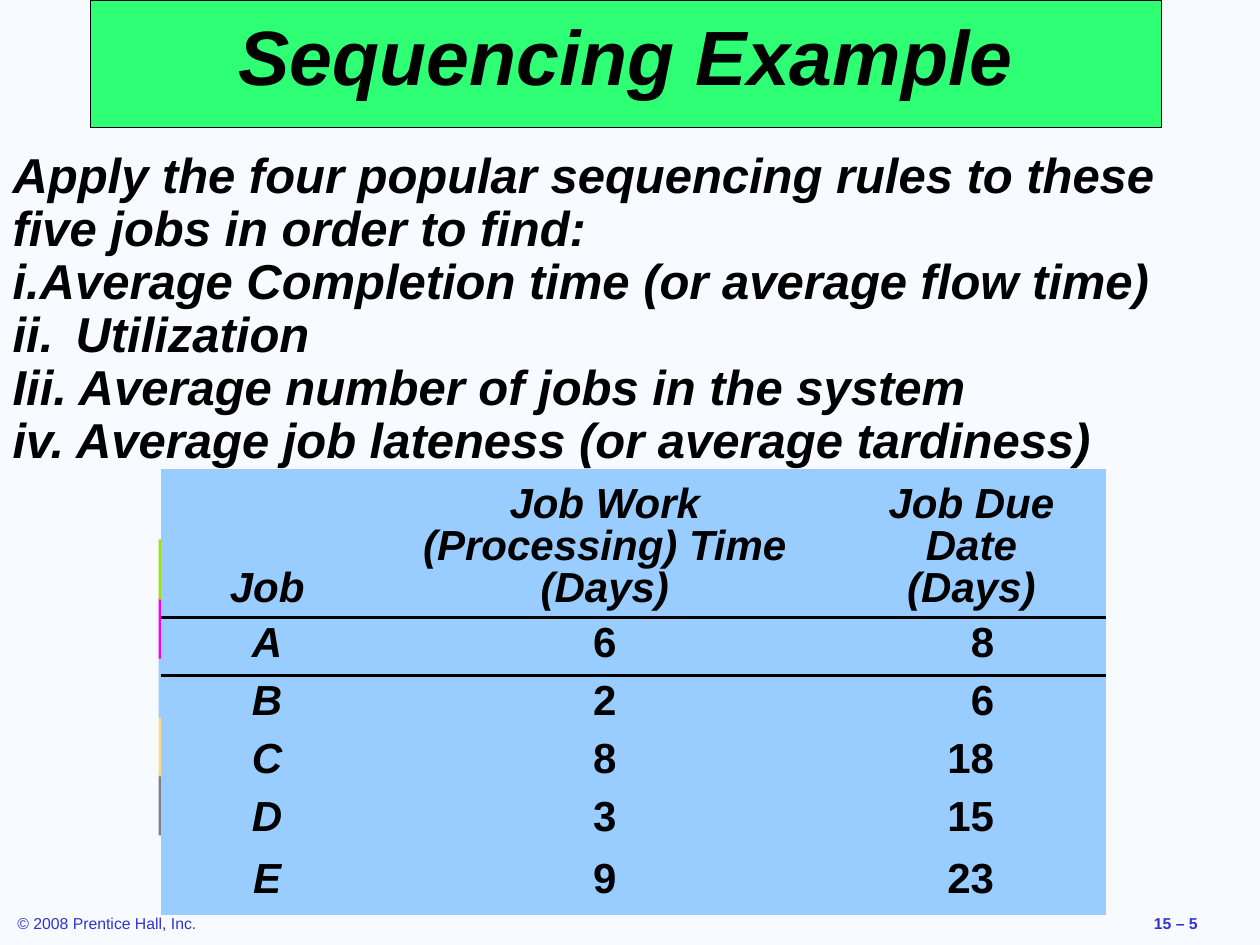
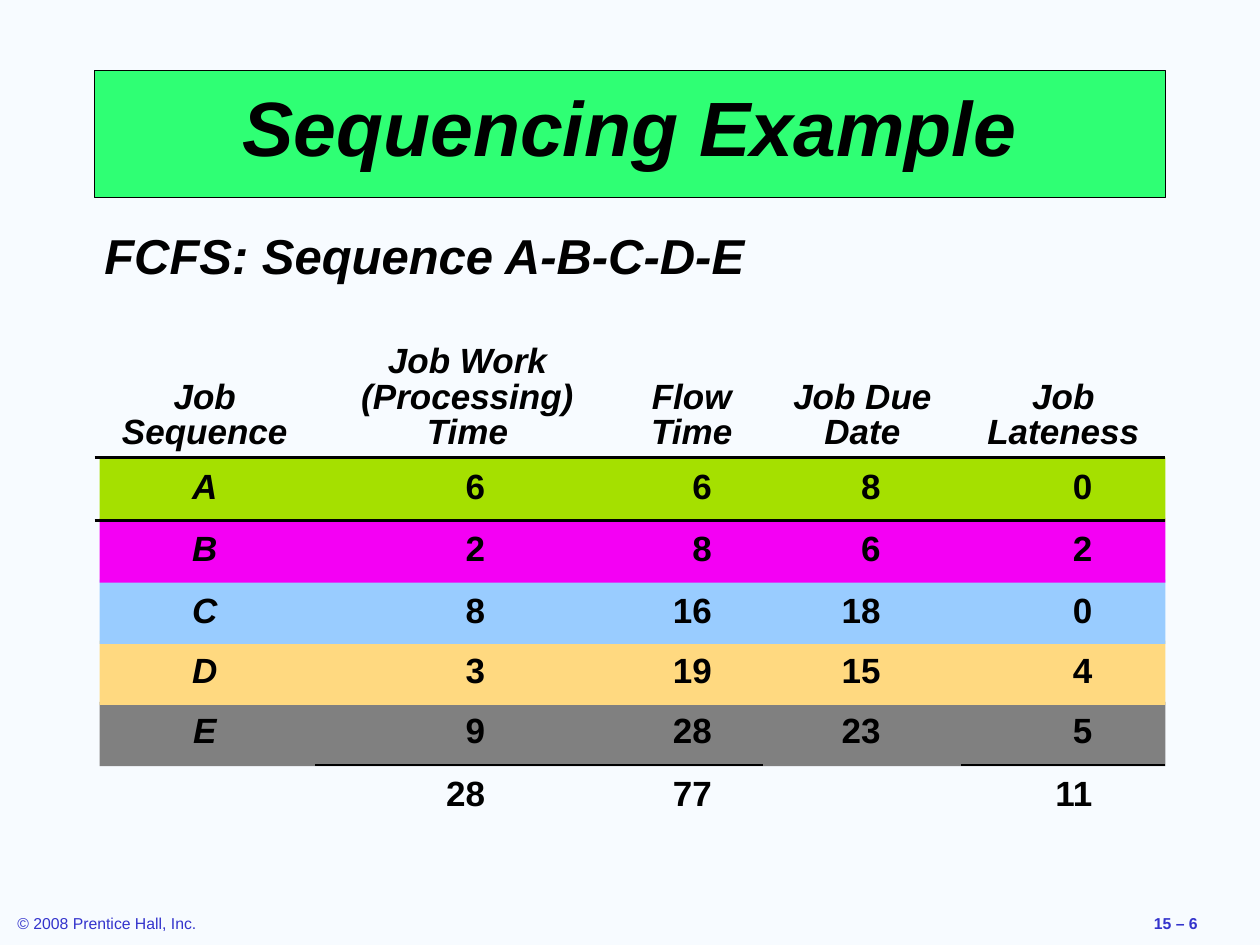
from dataclasses import dataclass
from typing import Optional

from lxml.etree import SubElement
from pptx import Presentation
from pptx.dml.color import RGBColor
from pptx.enum.shapes import MSO_SHAPE
from pptx.enum.text import MSO_ANCHOR, MSO_AUTO_SIZE, PP_ALIGN
from pptx.oxml import parse_xml
from pptx.oxml.ns import nsdecls, qn
from pptx.util import Inches, Pt

HUES = {
    "page": "F7FBFF", "band": "2FFF74", "ink": "000000", "foot": "3333CC",
    "A": "A5E000", "B": "F400F4", "C": "99CCFF", "D": "FFD980", "E": "808080",
}
FONT = "Arial"
JOBS = "ABCDE"
PLAIN_STYLE = "{2D5ABB26-0587-4C30-8999-92F81FD0307C}"
TITLE = "Sequencing Example"
GOALS = [
    "Apply the four popular sequencing rules to these five jobs in order to find:",
    "Average Completion time (or average flow time)",
    "ii.\tUtilization",
    "Iii. Average number of jobs in the system",
    "iv. Average job lateness (or average tardiness)",
]


@dataclass
class Box:
    left: float
    top: float
    width: float
    height: float

    def place(self) -> tuple:
        return tuple(Inches(n) for n in (self.left, self.top, self.width, self.height))


@dataclass
class Column:
    """A table column; digits end at edge, or are centred if it is None."""
    head: str
    width: float
    cells: list
    edge: Optional[float] = None


@dataclass
class Rule:
    """A line under some columns of a row."""
    row: int
    cols: list
    weight: float


@dataclass
class Grid:
    left: float
    top: float
    heights: list
    cols: list
    rules: list
    size: int
    anchor: MSO_ANCHOR
    fill: Optional[str] = None


def hue(name: str) -> RGBColor:
    return RGBColor.from_string(HUES[name])


def style(para, size: int, bold: bool = True, slant: bool = True,
          color: str = "ink") -> None:
    for run in para.runs:
        font = run.font
        font.name, font.size = FONT, Pt(size)
        font.bold, font.italic = bold, slant
        font.color.rgb = hue(color)


def add_title(slide, left: float, top: float) -> None:
    title = slide.shapes.title
    title.left, title.top, title.width, title.height = Box(left, top, 8.5, 1.01).place()
    title.fill.solid()
    title.fill.fore_color.rgb = hue("band")
    title.line.color.rgb = hue("ink")
    title.line.width = Pt(0.75)
    frame = title.text_frame
    frame.text = TITLE
    frame.auto_size = MSO_AUTO_SIZE.NONE
    frame.vertical_anchor = MSO_ANCHOR.MIDDLE
    para = frame.paragraphs[0]
    para.alignment, para.line_spacing = PP_ALIGN.CENTER, 0.8
    style(para, 44)


def add_label(slide, text: str, box: Box, size: int, **look) -> None:
    frame = slide.shapes.add_textbox(*box.place()).text_frame
    frame.text = text
    frame.word_wrap = False
    frame.auto_size = MSO_AUTO_SIZE.SHAPE_TO_FIT_TEXT
    style(frame.paragraphs[0], size, **look)


def add_foot(slide, page: int) -> None:
    add_label(slide, "© 2008 Prentice Hall, Inc.", Box(0.04, 7.2, 1.62, 0.25), 9,
              bold=False, slant=False, color="foot")
    add_label(slide, f"15 – {page}", Box(9.06, 7.2, 1.08, 0.25), 9,
              slant=False, color="foot")


def add_bands(slide, first: Box, last: float) -> None:
    """Stack one band per job, from the first box down to the last top."""
    group = slide.shapes.add_group_shape()
    step = (last - first.top) / (len(JOBS) - 1)
    for i, job in reversed(list(enumerate(JOBS))):
        box = Box(first.left, first.top + i * step, first.width, first.height)
        band = group.shapes.add_shape(MSO_SHAPE.RECTANGLE, *box.place())
        band.shadow.inherit = False
        band.fill.solid()
        band.fill.fore_color.rgb = hue(job)
        band.line.fill.background()


def add_goals(slide) -> None:
    body = slide.placeholders[1]
    body.left, body.top, body.width, body.height = Box(0, 1.15, 10, 2.62).place()
    frame = body.text_frame
    frame.text = "\n".join(GOALS)
    frame.auto_size = MSO_AUTO_SIZE.NONE
    frame.vertical_anchor = MSO_ANCHOR.TOP
    for i, para in enumerate(frame.paragraphs):
        para.line_spacing, para.space_before = 0.9, Pt(0)
        props = para._p.get_or_add_pPr()
        props.set("marL", "0")
        props.set("indent", "0")
        if i == 1:
            SubElement(props, qn("a:buAutoNum"), type="romanLcPeriod")
        else:
            SubElement(props, qn("a:buNone"))
        if "\t" in GOALS[i]:
            tabs = SubElement(props, qn("a:tabLst"))
            SubElement(tabs, qn("a:tab"), pos=str(Inches(0.54)), algn="l")
        style(para, 28)


def add_edge(cell, side: str, weight: float) -> None:
    props = cell._tc.get_or_add_tcPr()
    props.insert(0, parse_xml(
        f'<a:{side} {nsdecls("a")} w="{Pt(weight)}"><a:solidFill>'
        f'<a:srgbClr val="{HUES["ink"]}"/></a:solidFill></a:{side}>'))


def fill_cell(cell, text: str, grid: Grid, col: Column, head: bool, slant: bool) -> None:
    if grid.fill:
        cell.fill.solid()
        cell.fill.fore_color.rgb = hue(grid.fill)
    else:
        cell.fill.background()
    cell.vertical_anchor = MSO_ANCHOR.BOTTOM if head else grid.anchor
    cell.text_frame.text = text
    para = cell.text_frame.paragraphs[0]
    para.line_spacing = 0.9
    para.alignment = PP_ALIGN.CENTER
    if col.edge and not head:
        para.alignment = PP_ALIGN.RIGHT
        cell.margin_right = Inches(col.width - col.edge)
    style(para, grid.size, slant=slant)


def add_grid(slide, grid: Grid) -> None:
    box = Box(grid.left, grid.top, sum(c.width for c in grid.cols), sum(grid.heights))
    frame = slide.shapes.add_table(len(grid.heights), len(grid.cols), *box.place())
    for node in frame.element.iter(qn("a:tableStyleId")):
        node.text = PLAIN_STYLE
    table = frame.table
    table.first_row = table.horz_banding = False
    for row, height in zip(table.rows, grid.heights):
        row.height = Inches(height)
    for c, col in enumerate(grid.cols):
        table.columns[c].width = Inches(col.width)
        for r, text in enumerate([col.head, *col.cells]):
            fill_cell(table.cell(r, c), str(text), grid, col, r == 0, r == 0 or c == 0)
    for rule in grid.rules:
        for c in rule.cols:
            add_edge(table.cell(rule.row, c), "lnB", rule.weight)
            add_edge(table.cell(rule.row + 1, c), "lnT", rule.weight)


WORK = [6, 2, 8, 3, 9]
DUE = [8, 6, 18, 15, 23]
FLOW = [6, 8, 16, 19, 28]
LATE = [0, 2, 0, 4, 5]

TASKS = Grid(
    1.28, 3.72, [1.18, 0.46, 0.46, 0.46, 0.49, 0.49],
    [Column("Job", 1.68, list(JOBS)),
     Column("Job Work (Processing) Time\v(Days)", 3.68, WORK),
     Column("Job Due Date\v(Days)", 2.14, DUE, 1.25)],
    [Rule(0, [0, 1, 2], 1.47)], 24, MSO_ANCHOR.TOP, "C")

FCFS = Grid(
    0.75, 2.63, [1, 0.5, 0.49, 0.49, 0.46, 0.5, 0.49],
    [Column("Job Sequence", 1.75, [*JOBS, ""]),
     Column("Job Work (Processing) Time", 2.42, [*WORK, sum(WORK)], 1.35),
     Column("Flow Time", 1.14, [*FLOW, sum(FLOW)], 0.73),
     Column("Job Due Date", 1.57, [*DUE, ""], 0.93),
     Column("Job Lateness", 1.62, [*LATE, sum(LATE)], 1.04)],
    [Rule(0, [0, 1, 2, 3, 4], 1.47), Rule(5, [1, 2, 4], 1.08)], 20, MSO_ANCHOR.MIDDLE)


def main() -> None:
    deck = Presentation()
    deck.slide_width, deck.slide_height = Inches(10), Inches(7.5)
    back = deck.slide_master.background.fill
    back.solid()
    back.fore_color.rgb = hue("page")

    slide = deck.slides.add_slide(deck.slide_layouts[1])
    add_foot(slide, 5)
    add_bands(slide, Box(1.26, 4.28, 7.48, 0.48), 6.15)
    add_title(slide, 0.72, 0)
    add_grid(slide, TASKS)
    add_goals(slide)

    slide = deck.slides.add_slide(deck.slide_layouts[5])
    add_foot(slide, 6)
    add_bands(slide, Box(0.79, 3.63, 8.46, 0.51), 5.57)
    add_title(slide, 0.75, 0.56)
    add_grid(slide, FCFS)
    add_label(slide, "FCFS: Sequence A-B-C-D-E", Box(0.73, 1.74, 5.29, 0.57), 28)

    deck.save("out.pptx")


if __name__ == "__main__":
    main()
